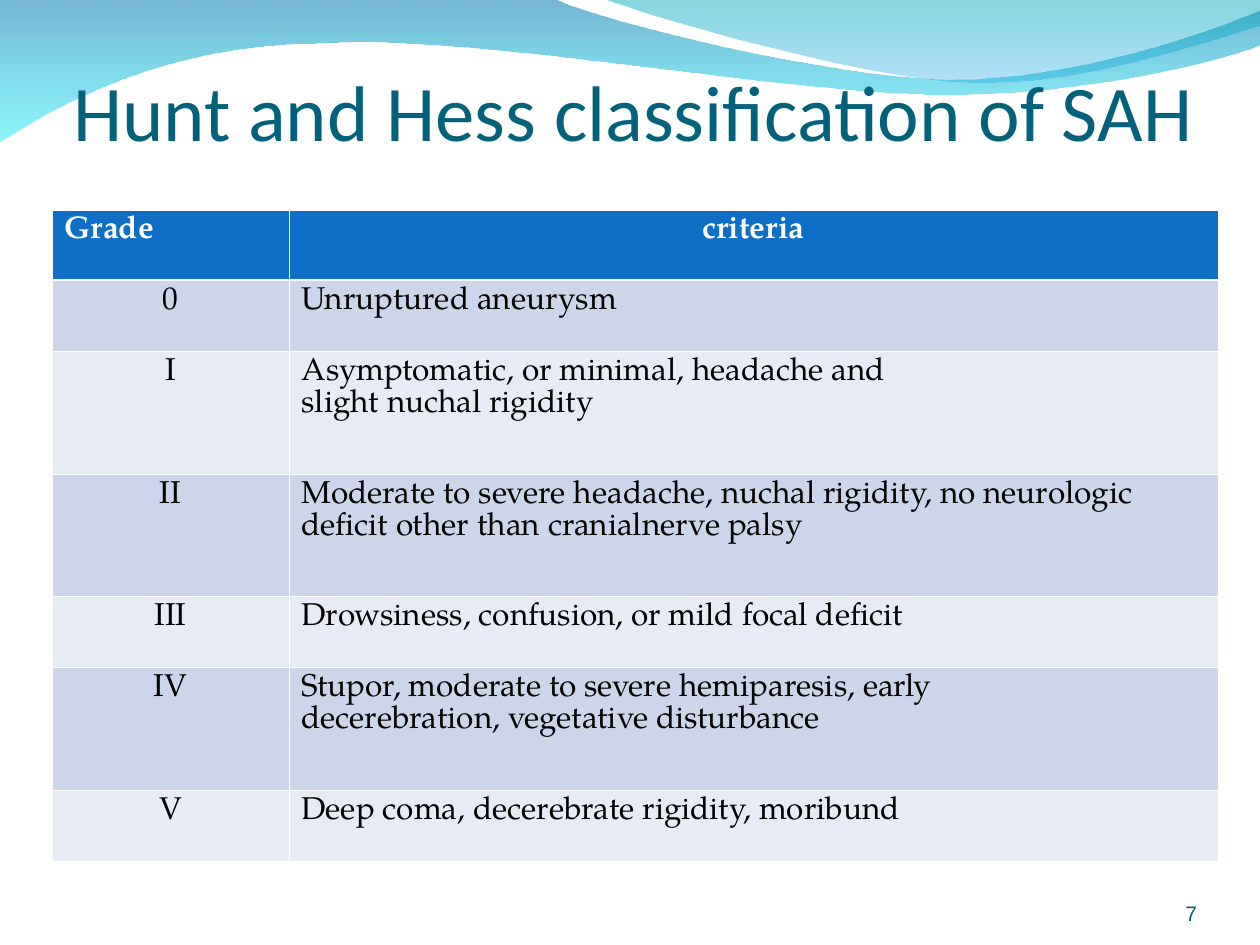
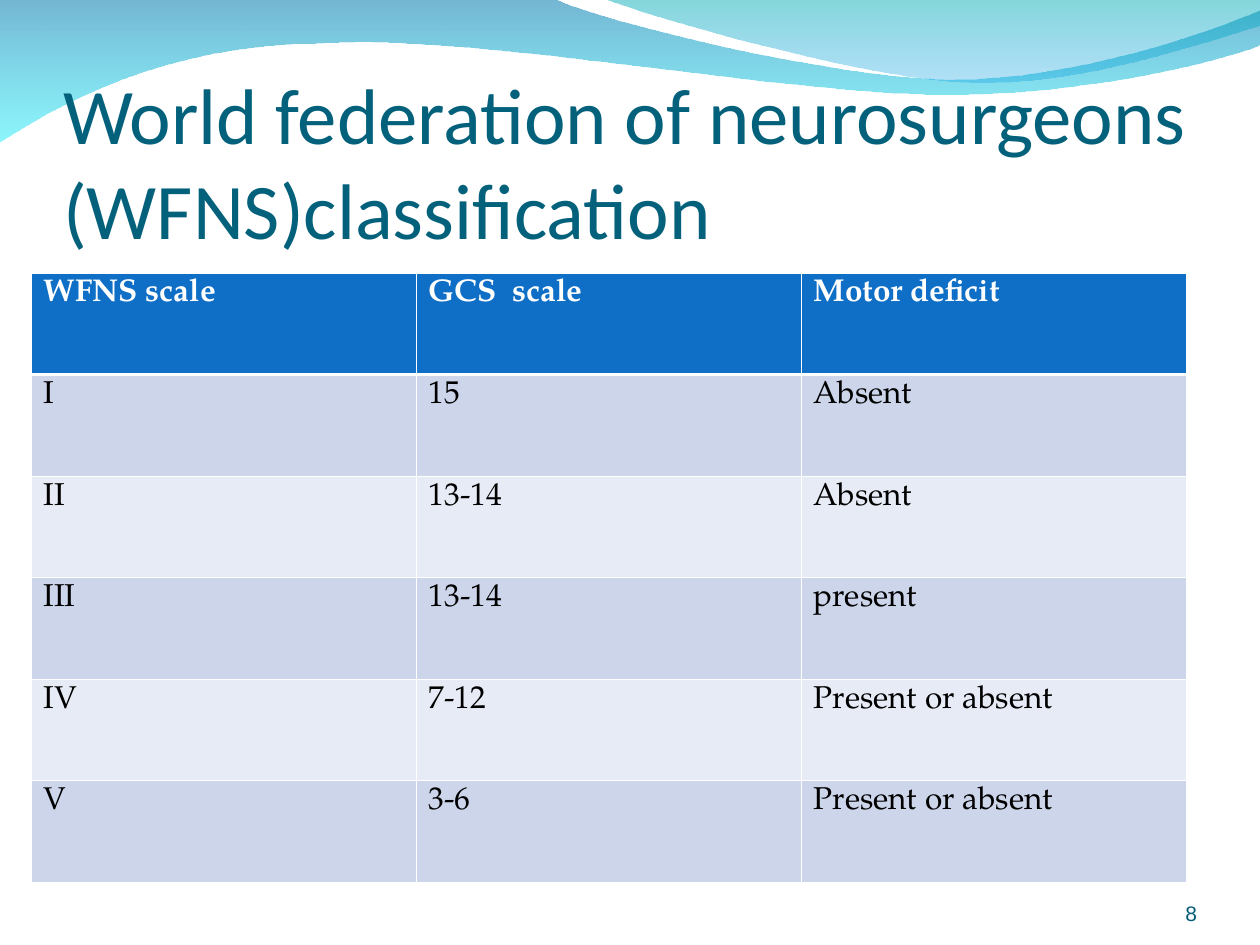
from lxml import etree
from pptx import Presentation
from pptx import util as u
from pptx.dml.color import RGBColor
from pptx.enum import text as t
from pptx.oxml.ns import qn

HUES = {
    "title": "04617B", "page": "045C75", "head": "0F6FC6",
    "odd": "CCD5EA", "even": "E7EBF5", "white": "FFFFFF", "black": "000000",
    "blue": "0079AF", "cyan": "00EBF8", "teal": "00ADB6", "sky": "009BE5",
}
TITLE_FONT, TABLE_FONT, PAGE_FONT = "Calibri", "TeX Gyre Pagella", "Arial"
SCALE = 914400 / 126
LEFT, MID, RIGHT = t.PP_ALIGN.LEFT, t.PP_ALIGN.CENTER, t.PP_ALIGN.RIGHT

# Each wave: start, then line ends (one point) or curves (three points)
WAVES = [
    ((0, -1), [
        [(554, -1)],
        [(600, 21), (837, 79), (955, 79)],
        [(1075, 79), (1207, 33), (1260, 11)],
        [(1261, 45)],
        [(1239, 55), (1096, 96), (940, 94)],
        [(783, 94), (481, 35), (324, 43)],
        [(163, 44), (58, 105), (-1, 142)],
    ], [("blue", 55), ("cyan", 45)]),
    ((604, -1), [
        [(641, 14), (859, 78), (969, 82)],
        [(1079, 87), (1211, 40), (1260, 26)],
        [(1260, 0)],
    ], [("teal", 49), ("sky", 30)]),
]

HUNT = [
    ("Grade", "criteria"),
    ("0", "Unruptured aneurysm"),
    ("I", "Asymptomatic, or minimal, headache and\nslight nuchal rigidity"),
    ("II", "Moderate to severe headache, nuchal rigidity, no neurologic "
           "deficit other than cranialnerve palsy"),
    ("III", "Drowsiness, confusion, or mild focal deficit"),
    ("IV", "Stupor, moderate to severe hemiparesis, early\n"
           "decerebration, vegetative disturbance"),
    ("V", "Deep coma, decerebrate rigidity, moribund"),
]
WFNS = [
    ("WFNS scale", "GCS  scale", "Motor deficit"),
    ("I", "15", "Absent"),
    ("II", "13-14", "Absent"),
    ("III", "13-14", "present"),
    ("IV", "7-12", "Present or absent"),
    ("V", "3-6", "Present or absent"),
]


def px(n):
    return u.Emu(round(n * SCALE))


def rgb(hue):
    return RGBColor.from_string(HUES[hue])


def style(frame, font, size, hue, bold=False, align=LEFT, pitch=None):
    """Format every paragraph and run of a text frame."""
    for para in frame.paragraphs:
        para.alignment = align
        if pitch:
            para.line_spacing = u.Pt(pitch)
        for run in para.runs:
            run.font.name, run.font.size = font, u.Pt(size)
            run.font.bold = bold
            run.font.color.rgb = rgb(hue)


def inset(frame, top=0, bottom=0):
    """Anchor text at the bottom, with no side margins."""
    frame.word_wrap = True
    frame.auto_size = t.MSO_AUTO_SIZE.NONE
    frame.vertical_anchor = t.MSO_ANCHOR.BOTTOM
    frame.margin_left = frame.margin_right = 0
    frame.margin_top, frame.margin_bottom = px(top), px(bottom)


def bend(wave, parts):
    """Turn each run of three line segments into one cubic curve."""
    lines = iter(list(wave.element.iter(qn("a:lnTo"))))
    for part in parts:
        group = [next(lines) for _ in part]
        if len(group) == 3:
            first, *rest = group
            first.addprevious(curve := etree.Element(qn("a:cubicBezTo")))
            for line in group:
                curve.append(line[0])
                line.getparent().remove(line)


def add_wave(slide, start, parts, stops):
    pen = slide.shapes.build_freeform(px(start[0]), px(start[1]))
    pen.add_line_segments([(px(x), px(y)) for part in parts for x, y in part])
    wave = pen.convert_to_shape()
    bend(wave, parts)
    wave.shadow.inherit = False
    wave.line.fill.background()
    wave.fill.gradient()
    wave.fill.gradient_angle = 270
    for stop, (hue, _) in zip(wave.fill.gradient_stops, stops):
        stop.color.rgb = rgb(hue)
    for tint, (_, clear) in zip(wave.element.iter(qn("a:srgbClr")), stops):
        etree.SubElement(tint, qn("a:alpha"), val=str(clear * 1000))
    return wave


def share_waves(slide):
    """Draw the waves once and keep them in the slide's layout."""
    tree = slide.slide_layout.shapes.element
    for i, wave in enumerate(WAVES):
        tree.insert(2 + i, add_wave(slide, *wave).element)


def add_title(slide, words, left, top, bottom=0):
    title = slide.shapes.title
    title.left, title.top = px(left), px(top)
    title.width, title.height = px(1134), px(158)
    title.text_frame.text = words
    inset(title.text_frame, 6, bottom)
    style(title.text_frame, TITLE_FONT, 45, "title")


def add_page(slide, num):
    box = slide.shapes.add_textbox(px(1092), px(876), px(105), px(50))
    box.text_frame.text = str(num)
    inset(box.text_frame)
    style(box.text_frame, PAGE_FONT, 12, "page", align=RIGHT)


def add_edges(cell, row):
    """White cell borders, thicker under the header row."""
    props = cell._tc.get_or_add_tcPr()
    thick = {"T": row == 1, "B": row == 0}
    for side in "LRTB":
        width = u.Pt(1.47 if thick.get(side) else 0.45)
        edge = etree.SubElement(props, qn("a:ln" + side), w=str(int(width)))
        fill = etree.SubElement(edge, qn("a:solidFill"))
        etree.SubElement(fill, qn("a:srgbClr"), val=HUES["white"])


def add_grid(slide, data, left, top, cols, rows, align):
    """Table with a header; align(row, col) gives each cell's alignment."""
    grid = slide.shapes.add_table(len(rows), len(cols), px(left), px(top),
                                  px(sum(cols)), px(sum(rows))).table
    for col, width in zip(grid.columns, cols):
        col.width = px(width)
    for i, (line, height) in enumerate(zip(data, rows)):
        grid.rows[i].height = px(height)
        band = "head" if i == 0 else "odd" if i % 2 else "even"
        hue, pitch = ("black", 18.3) if i else ("white", 17.2)
        for j, words in enumerate(line):
            cell = grid.cell(i, j)
            add_edges(cell, i)
            cell.fill.solid()
            cell.fill.fore_color.rgb = rgb(band)
            cell.text_frame.text = words
            style(cell.text_frame, TABLE_FONT, 18, hue, i == 0,
                  align(i, j), pitch)


def main():
    deck = Presentation()
    deck.slide_width, deck.slide_height = px(1260), px(945)
    layout = deck.slide_layouts[5]

    # Hunt and Hess grades
    hunt = deck.slides.add_slide(layout)
    share_waves(hunt)
    add_title(hunt, "Hunt and Hess classification of SAH", 73, 94, bottom=95)
    add_grid(hunt, HUNT, 52, 210, [237, 929],
             [70, 71, 123, 122, 71, 123, 71],
             lambda i, j: MID if (i == 0) == (j == 1) else LEFT)
    add_page(hunt, 7)

    # WFNS grades
    wfns = deck.slides.add_slide(layout)
    add_title(wfns, "World federation of neurosurgeons (WFNS)classification",
              63, 97)
    add_grid(wfns, WFNS, 31, 273, [385] * 3, [609 / 6] * 6,
             lambda i, j: LEFT)
    add_page(wfns, 8)

    deck.save("out.pptx")


if __name__ == "__main__":
    main()
